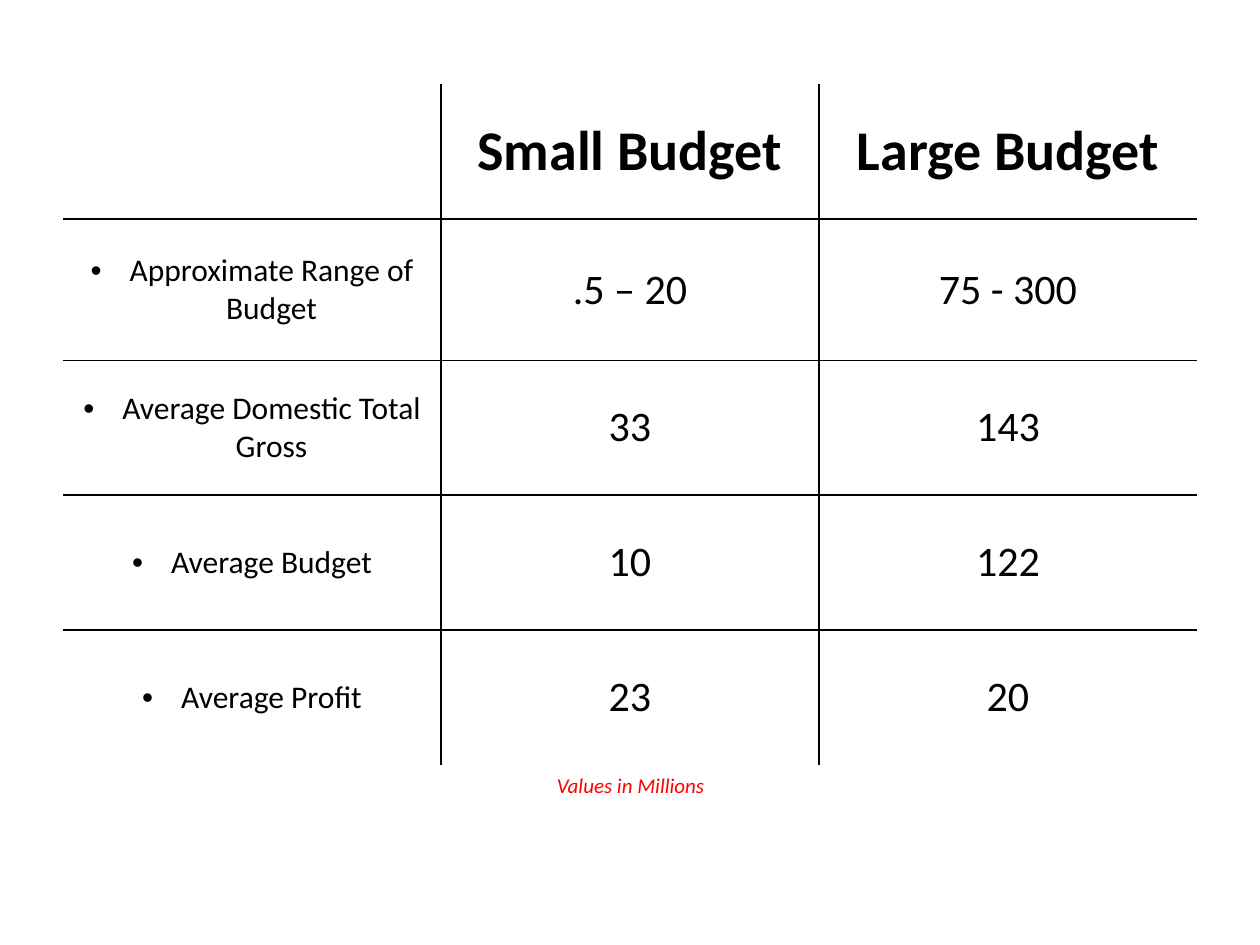
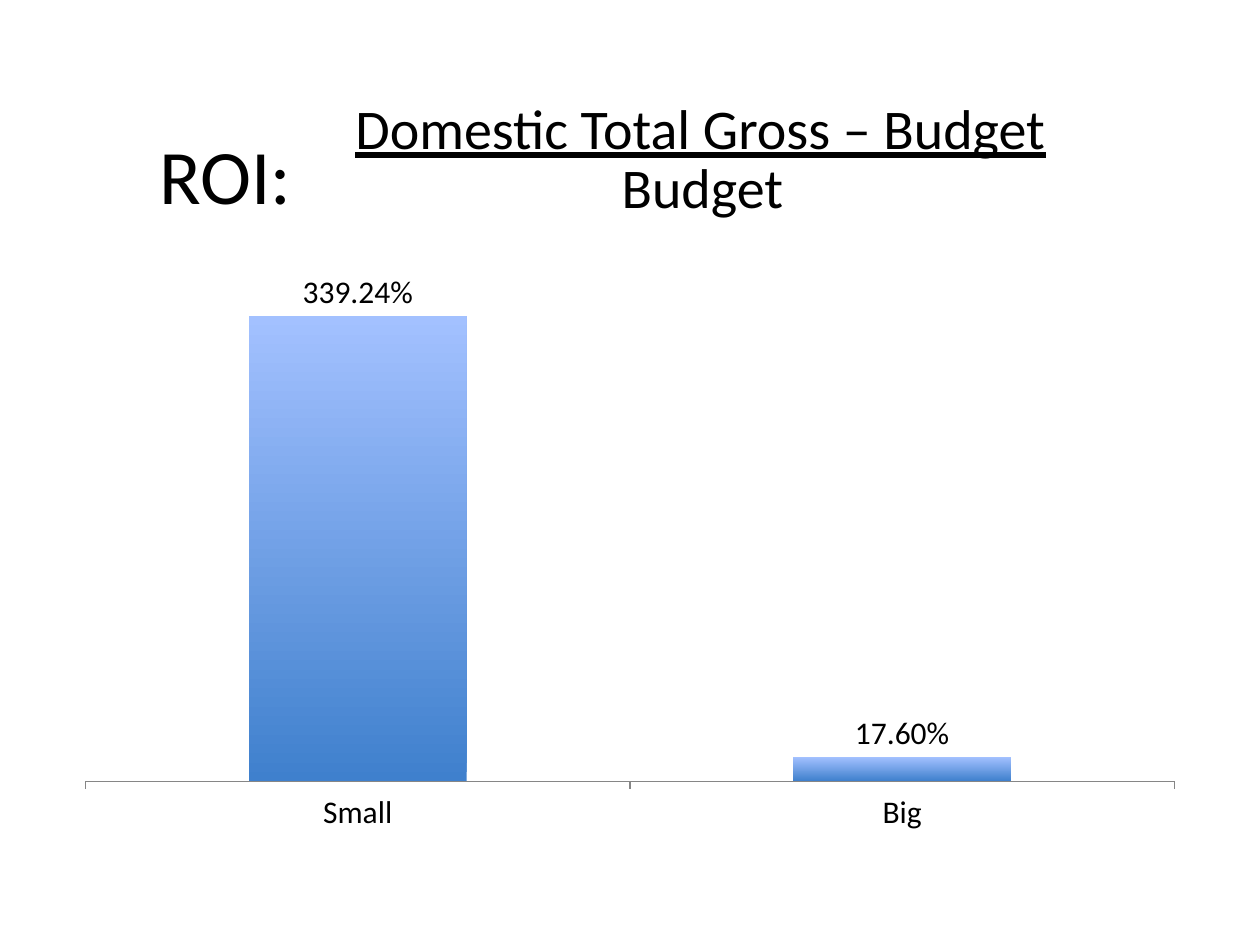
from lxml.etree import SubElement
from pptx import Presentation
from pptx.chart.data import CategoryChartData
from pptx.dml.color import RGBColor
from pptx.enum.chart import XL_CHART_TYPE, XL_LABEL_POSITION, XL_TICK_MARK
from pptx.enum.text import MSO_ANCHOR, PP_ALIGN
from pptx.oxml.ns import qn
from pptx.util import Inches, Pt

COLORS = {
    "text": "000000",
    "paper": "FFFFFF",
    "note": "FF0000",
    "axis": "868686",
    "bar_top": "A3C1FF",
    "bar_bottom": "3F80CD",
}
FONT = "Calibri"
SLIDE_WIDTH, SLIDE_HEIGHT = Inches(10), Inches(7.5)
COLUMN, ROW = SLIDE_WIDTH / 20, SLIDE_HEIGHT / 15

# Text formats
HEADING = {"size": Pt(32), "bold": True}
LABEL = {"size": Pt(18), "bold": False}
VALUE = {"size": Pt(24), "bold": False}
NOTE = {"size": Pt(12), "italic": True}
TITLE = {"size": Pt(44)}
TERM = {"size": Pt(32)}

BUDGET_ROWS = [
    ("", "Small Budget", "Large Budget"),
    ("Approximate Range of Budget", ".5 – 20", "75 - 300"),
    ("Average Domestic Total Gross", "33", "143"),
    ("Average Budget", "10", "122"),
    ("Average Profit", "23", "20"),
]
ROW_HEIGHTS = [2.14, 2.24, 2.14, 2.14, 2.14]
RETURNS = {"Small": 3.3924, "Big": 0.176}


def color(name):
    return RGBColor.from_string(COLORS[name])


def grid_box(left, top, width, height):
    """Turn grid columns and rows into slide lengths."""
    return [round(left * COLUMN), round(top * ROW), round(width * COLUMN), round(height * ROW)]


def set_attributes(target, values):
    for name, value in values.items():
        setattr(target, name, value)


def style_font(font, values, color_name="text"):
    set_attributes(font, {"name": FONT, **values})
    font.color.rgb = color(color_name)


def write_paragraph(paragraph, text, values, align=PP_ALIGN.CENTER, color_name="text"):
    paragraph.text = text
    paragraph.alignment = align
    style_font(paragraph.font, values, color_name)
    for run in paragraph.runs:
        style_font(run.font, values, color_name)


def add_text_frame(slide, box, **values):
    frame = slide.shapes.add_textbox(*box).text_frame
    set_attributes(frame, {"word_wrap": True, **values})
    return frame


def add_bullet(paragraph):
    properties = paragraph._p.get_or_add_pPr()
    properties.set("marL", str(Inches(0.31)))
    properties.set("indent", str(-Inches(0.31)))
    SubElement(properties, qn("a:buFont"), typeface="Arial")
    SubElement(properties, qn("a:buChar"), char="•")


def set_borders(cell, visible_sides):
    properties = cell._tc.get_or_add_tcPr()
    for index, side in enumerate("LRTB"):
        line = SubElement(properties, qn(f"a:ln{side}"), w=str(Pt(1)))
        if side in visible_sides:
            fill = SubElement(line, qn("a:solidFill"))
            SubElement(fill, qn("a:srgbClr"), val=COLORS["text"])
        else:
            SubElement(line, qn("a:noFill"))
        properties.insert(index, line)


def add_budget_table(slide, box):
    row_count, column_count = len(BUDGET_ROWS), len(BUDGET_ROWS[0])
    table = slide.shapes.add_table(row_count, column_count, *box).table
    set_attributes(table, {"first_row": False, "horz_banding": False})
    for row, height in zip(table.rows, ROW_HEIGHTS):
        row.height = round(height * ROW)

    for row, texts in enumerate(BUDGET_ROWS):
        for column, text in enumerate(texts):
            cell = table.cell(row, column)
            cell.vertical_anchor = MSO_ANCHOR.MIDDLE
            cell.fill.solid()
            cell.fill.fore_color.rgb = color("paper")
            # Only the lines between cells show
            inner = {"L": column > 0, "R": column < column_count - 1,
                     "T": row > 0, "B": row < row_count - 1}
            set_borders(cell, [side for side, shown in inner.items() if shown])
            paragraph = cell.text_frame.paragraphs[0]
            if row > 0 and column == 0:
                add_bullet(paragraph)
            values = HEADING if row == 0 else LABEL if column == 0 else VALUE
            write_paragraph(paragraph, text, values)


def add_formula(slide, box):
    """Place the fraction: underlined numerator over denominator."""
    frame = add_text_frame(slide, box, margin_left=Inches(0.24), margin_top=Inches(0.24))
    # The denominator is centred in the box's usual margins
    frame.margin_right = Inches(0.24)
    write_paragraph(frame.paragraphs[0], "Domestic Total Gross – Budget",
                    {**TERM, "underline": True}, PP_ALIGN.LEFT)
    denominator = frame.add_paragraph()
    write_paragraph(denominator, "Budget", TERM)
    set_attributes(denominator, {"line_spacing": 0.8, "space_before": Pt(3)})


def add_return_chart(slide, box):
    data = CategoryChartData(number_format="0.00%")
    data.categories = list(RETURNS)
    data.add_series("Series 1", list(RETURNS.values()))
    chart = slide.shapes.add_chart(XL_CHART_TYPE.COLUMN_CLUSTERED, *box, data).chart
    set_attributes(chart, {"has_legend": False, "has_title": False})
    style_font(chart.font, {"size": Pt(18)})

    # Axes
    set_attributes(chart.value_axis, {"visible": False, "has_major_gridlines": False,
                                      "minimum_scale": 0, "maximum_scale": 4})
    chart.category_axis.major_tick_mark = XL_TICK_MARK.OUTSIDE
    chart.category_axis.format.line.color.rgb = color("axis")

    # Columns and labels
    plot = chart.plots[0]
    set_attributes(plot, {"gap_width": 150, "vary_by_categories": False, "has_data_labels": True})
    set_attributes(plot.data_labels, {"show_value": True, "number_format": "0.00%",
                                      "number_format_is_linked": False,
                                      "position": XL_LABEL_POSITION.OUTSIDE_END})
    style_font(plot.data_labels.font, {"size": Pt(18)})
    fill = plot.series[0].format.fill
    fill.gradient()
    fill.gradient_angle = 90
    for stop, name in zip(fill.gradient_stops, ("bar_bottom", "bar_top")):
        stop.color.rgb = color(name)


def build_budget_slide(slide):
    add_budget_table(slide, grid_box(1, 1.34, 18, sum(ROW_HEIGHTS)))
    note = add_text_frame(slide, grid_box(4.36, 12.16, 11.3, 0.6))
    write_paragraph(note.paragraphs[0], "Values in Millions", NOTE, color_name="note")


def build_return_slide(slide):
    title = add_text_frame(slide, grid_box(1, 0.6, 3.82, 2.98), vertical_anchor=MSO_ANCHOR.BOTTOM)
    write_paragraph(title.paragraphs[0], "ROI:", TITLE, PP_ALIGN.RIGHT)
    title.paragraphs[0].line_spacing = 0.8
    add_return_chart(slide, grid_box(1, 3.5, 18, 9.9))
    add_formula(slide, grid_box(5.16, 1, 11.98, 2.58))


def main():
    presentation = Presentation()
    set_attributes(presentation, {"slide_width": SLIDE_WIDTH, "slide_height": SLIDE_HEIGHT})
    blank_layout = presentation.slide_layouts[6]
    for build_slide in (build_budget_slide, build_return_slide):
        build_slide(presentation.slides.add_slide(blank_layout))
    presentation.save("out.pptx")


if __name__ == "__main__":
    main()
